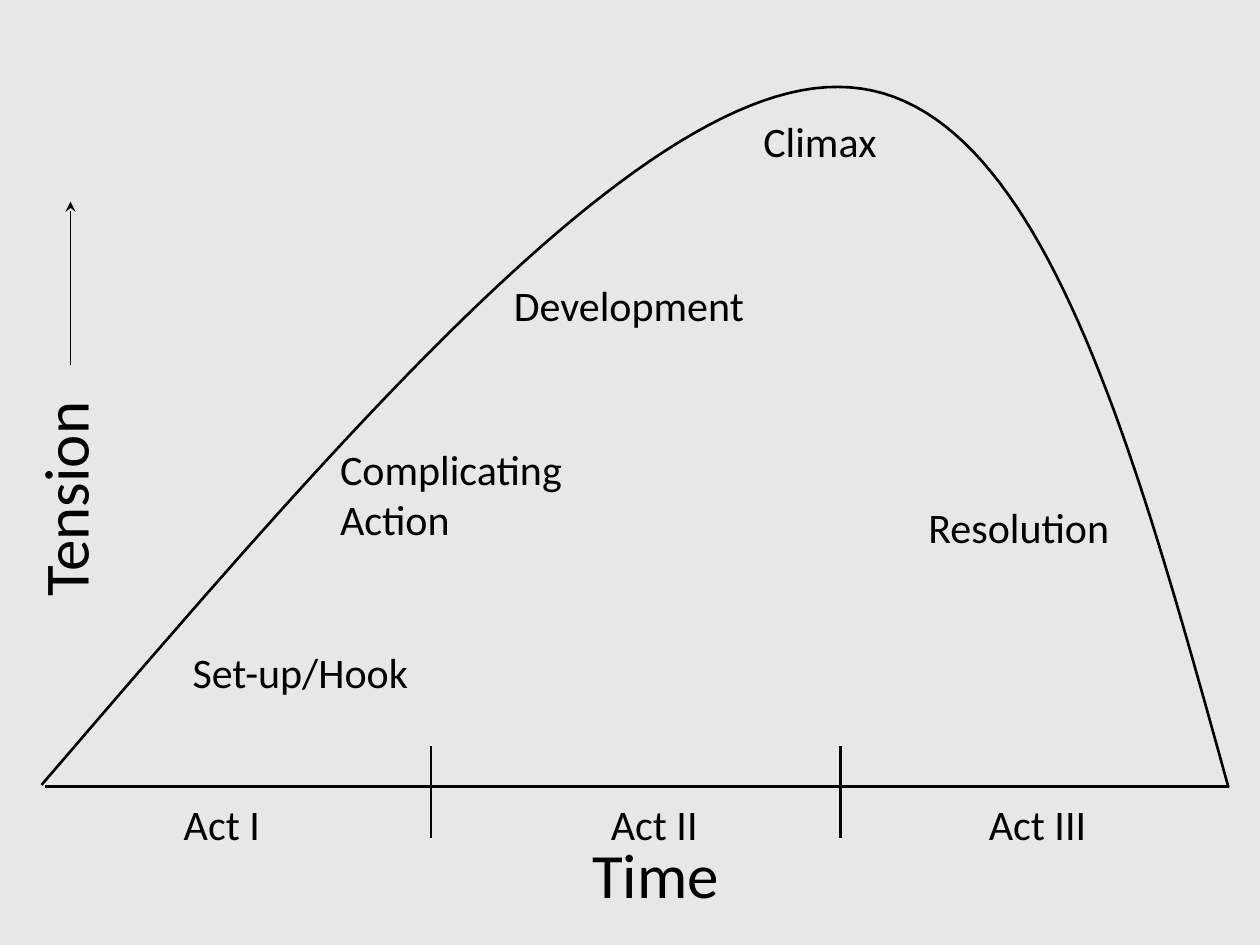
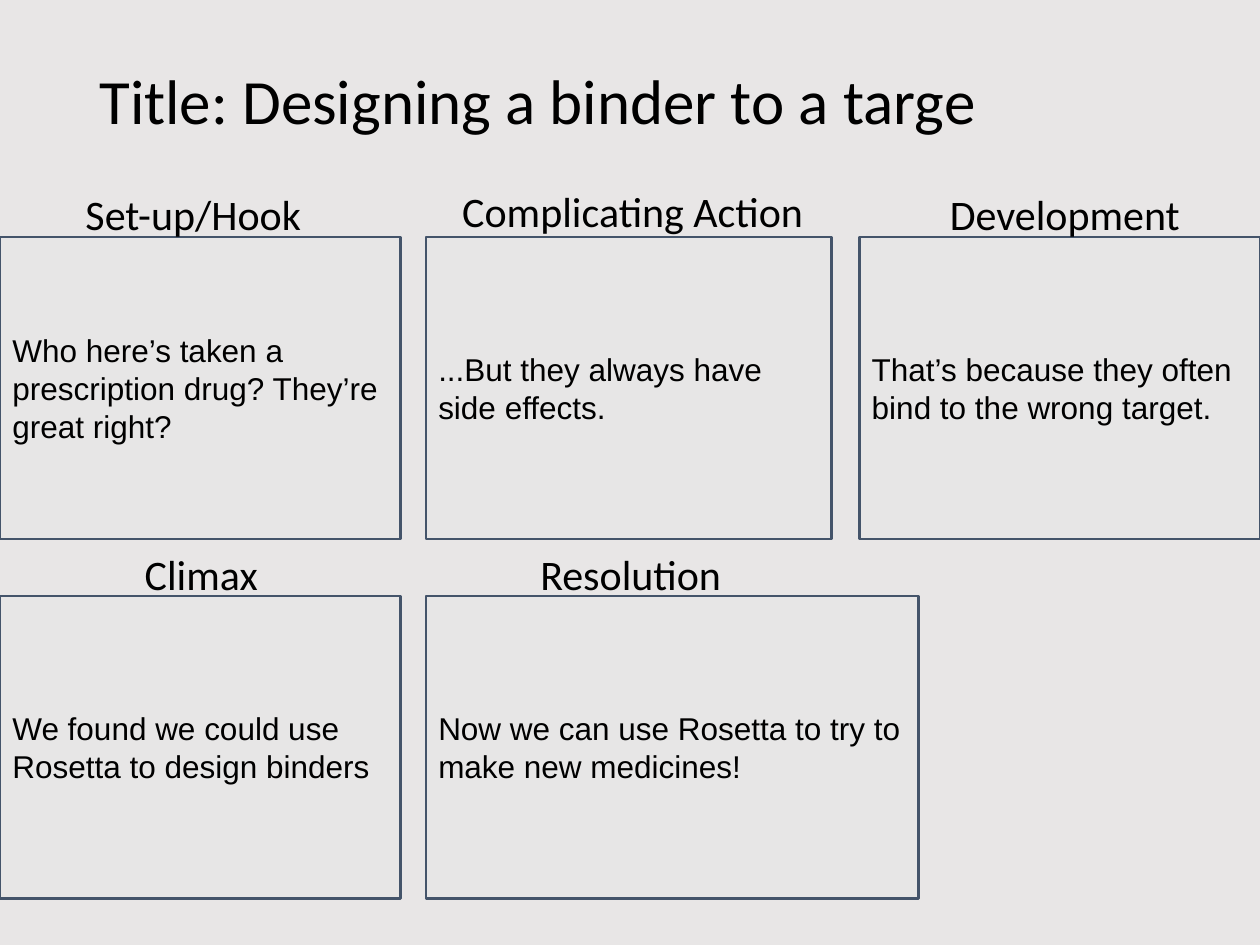
"""Builds a story arc diagram and a five-panel storyboard."""
from lxml import etree
from pptx import Presentation
from pptx.dml.color import RGBColor
from pptx.enum import shapes, text
from pptx.oxml import ns
from pptx.util import Inches, Pt

COLOURS = {"background": "E8E6E6", "ink": "000000", "panel": "E7E6E6", "border": "44546A"}
HEADING_FONT, BODY_FONT = "Calibri", "Arial"
LARGE, MEDIUM, SMALL = 36, 24, 18
PANEL_HEIGHT = 2.4
AXIS_Y = 6.24

ARC = [
    [(0.33, 6.23), (2.71, 3.46), (5.08, 0.68), (6.65, 0.69)],
    [(6.65, 0.69), (8.22, 0.69), (8.98, 3.47), (9.75, 6.25)],
]
ARC_LABELS = [
    (["Set-up/Hook"], (1.43, 5.08, 2.43, 0.5)),
    (["Development"], (3.98, 2.17, 2.62, 0.5)),
    (["Climax"], (5.96, 0.87, 1.42, 0.5)),
    (["Resolution"], (7.27, 3.93, 2.09, 0.5)),
    (["Complicating", "Action"], (2.6, 3.47, 4.01, 0.91)),
]
ACTS = [("Act I", 1.36), ("Act II", 4.75), ("Act III", 7.75)]
ACT_BREAKS = [3.42, 6.67]

PANELS = [
    ("Set-up/Hook", (0.58, 1.4, 2.02), (0, 1.88, 3.18),
     "Who here’s taken a prescription drug? They’re great right?"),
    ("Complicating Action", (3.57, 1.37, 3.03), (3.38, 1.88, 3.22),
     "...But they always have side effects."),
    ("Development", (7.44, 1.4, 2.36), (6.82, 1.88, 3.18),
     "That’s because they often bind to the wrong target."),
    ("Climax", (1.05, 4.25, 1.37), (0, 4.73, 3.18),
     "We found we could use Rosetta to design binders"),
    ("Resolution", (4.19, 4.25, 1.8), (3.38, 4.73, 3.91),
     "Now we can use Rosetta to try to make new medicines!"),
]


def colour(name):
    """Return the named colour."""
    return RGBColor.from_string(COLOURS[name])


def add_page(deck):
    """Add a blank page with the shared background."""
    page = deck.slides.add_slide(deck.slide_layouts[6])
    page.background.fill.solid()
    page.background.fill.fore_color.rgb = colour("background")
    return page


def style_line(line, name="ink", width=1.5):
    """Set the colour and width of a line."""
    line.color.rgb = colour(name)
    line.width = Pt(width)


def write(box, paragraphs, size, font=HEADING_FONT, inset=0.1, middle=False):
    """Write left-aligned paragraphs into a box."""
    frame = box.text_frame
    frame.word_wrap = True
    frame.margin_left = frame.margin_right = Inches(0.1)
    frame.margin_top = frame.margin_bottom = Inches(inset)
    frame.vertical_anchor = text.MSO_ANCHOR.MIDDLE if middle else text.MSO_ANCHOR.TOP
    for index, words in enumerate(paragraphs):
        para = frame.add_paragraph() if index else frame.paragraphs[0]
        para.alignment = text.PP_ALIGN.LEFT
        span = para.add_run()
        span.text = words
        span.font.name = font
        span.font.size = Pt(size)
        span.font.color.rgb = colour("ink")


def add_label(page, place, paragraphs, size=MEDIUM, **options):
    """Add a text box and return it."""
    box = page.shapes.add_textbox(*map(Inches, place))
    write(box, paragraphs, size, **options)
    return box


def add_line(page, start, end, width=1.5, arrow=False):
    """Add a straight line, with an arrowhead at its end if asked."""
    connector = page.shapes.add_connector(
        shapes.MSO_CONNECTOR.STRAIGHT, *map(Inches, start + end))
    style_line(connector.line, width=width)
    properties = connector._element.spPr
    if arrow:
        etree.SubElement(properties.find(ns.qn("a:ln")), ns.qn("a:tailEnd"), type="stealth")
    etree.SubElement(properties, ns.qn("a:effectLst"))


def bezier(points, step):
    """Return the point of a cubic curve at a step from 0 to 1."""
    rest = 1 - step
    weights = (rest ** 3, 3 * rest ** 2 * step, 3 * rest * step ** 2, step ** 3)
    return tuple(Inches(sum(weight * point[axis] for weight, point in zip(weights, points)))
                 for axis in (0, 1))


def add_curve(page, segments, steps=50):
    """Add an open unfilled outline that follows cubic curves."""
    builder = page.shapes.build_freeform(*bezier(segments[0], 0))
    builder.add_line_segments(
        [bezier(segment, step / steps) for segment in segments for step in range(1, steps + 1)],
        close=False)
    curve = builder.convert_to_shape()
    curve.shadow.inherit = False
    curve.fill.background()
    style_line(curve.line)


def add_panel(page, left, top, width, words):
    """Add a bordered storyboard panel."""
    panel = page.shapes.add_shape(
        shapes.MSO_SHAPE.RECTANGLE, *map(Inches, (left, top, width, PANEL_HEIGHT)))
    panel.shadow.inherit = False
    panel.fill.solid()
    panel.fill.fore_color.rgb = colour("panel")
    style_line(panel.line, "border")
    write(panel, [words], SMALL, BODY_FONT, middle=True)


def build_arc(deck):
    """Build the diagram of tension over time."""
    page = add_page(deck)
    add_curve(page, ARC)
    for paragraphs, place in ARC_LABELS:
        add_label(page, place, paragraphs, inset=0.05)
    add_label(page, (4.6, 6.58, 1.42, 0.71), ["Time"], LARGE, inset=0.05)
    tension = add_label(page, (-1, 2.97, 3.02, 0.71), ["Tension"], LARGE, inset=0.05)
    tension.rotation = 270
    for x in ACT_BREAKS:
        add_line(page, (x, 5.92), (x, 6.65))
    add_line(page, (0.36, AXIS_Y), (9.75, AXIS_Y))
    for act, left in ACTS:
        add_label(page, (left, 6.29, 1.12, 0.5), [act], inset=0.05)
    add_line(page, (0.56, 2.9), (0.56, 1.6), width=1, arrow=True)


def build_storyboard(deck):
    """Build the titled page of story panels."""
    page = add_page(deck)
    title = add_label(page, (0.69, 0.4, 8.62, 0.85),
                      ["Title: Designing a binder to a targe"], LARGE, middle=True)
    title.text_frame.paragraphs[0].line_spacing = 0.9
    for heading, heading_place, panel_place, words in PANELS:
        add_panel(page, *panel_place, words)
        add_label(page, (*heading_place, 0.34), [heading])


def main():
    """Build and save the deck."""
    deck = Presentation()
    deck.slide_width, deck.slide_height = Inches(10), Inches(7.5)
    build_arc(deck)
    build_storyboard(deck)
    deck.save("out.pptx")


if __name__ == "__main__":
    main()
